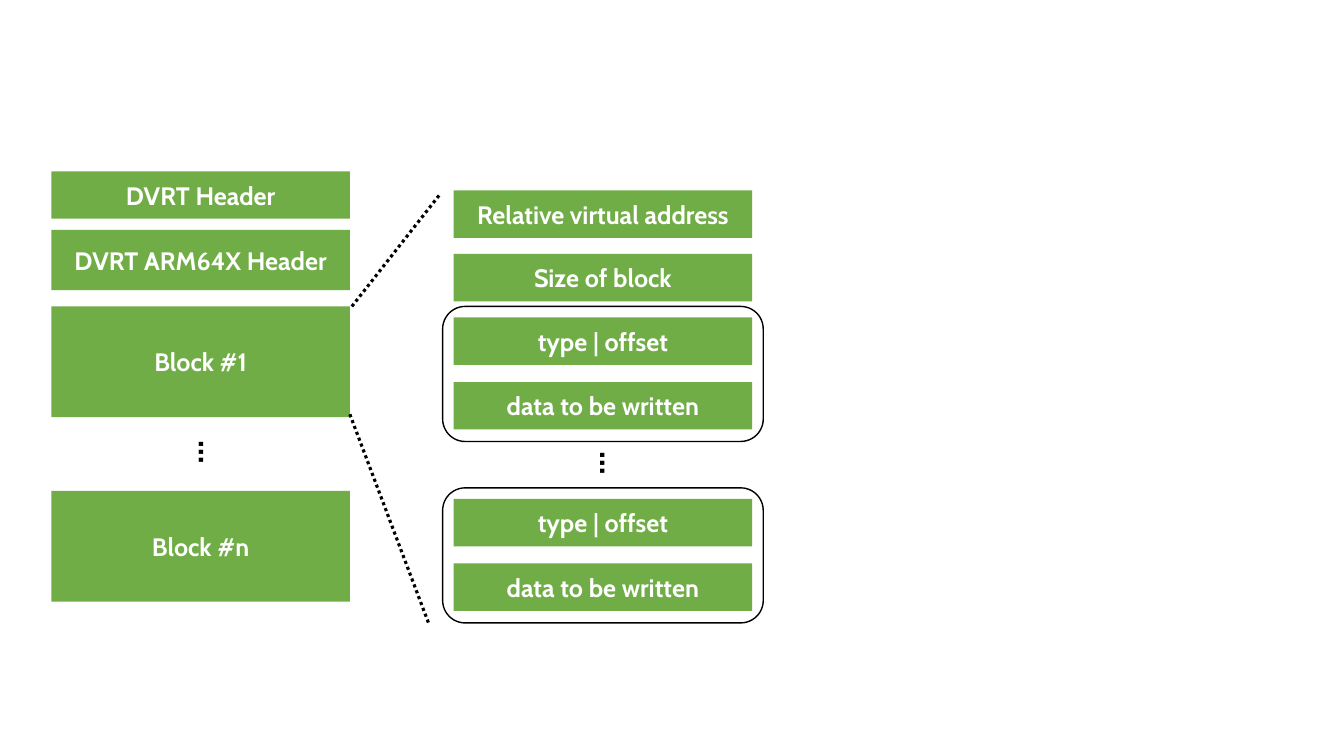
from pptx import Presentation
from pptx.dml.color import RGBColor
from pptx.enum.dml import MSO_LINE
from pptx.enum.shapes import MSO_CONNECTOR, MSO_SHAPE
from pptx.enum.text import MSO_ANCHOR, MSO_AUTO_SIZE, PP_ALIGN
from pptx.oxml.ns import qn
from pptx.util import Emu, Pt
from lxml.etree import SubElement

PX = 9144  # EMU per px, 100 px to the inch
GREEN, WHITE, BLACK = "70AD47", "FFFFFF", "000000"
LABEL = {"name": "Cabin", "size": Pt(18), "bold": True}
DOTS = {**LABEL, "size": Pt(24)}
CELL_W, ROW_H, ROW_STEP = 296, 47, 63


def px(*lengths):
    return [Emu(length * PX) for length in lengths]


def paint(color_format, hex_color):
    color_format.rgb = RGBColor.from_string(hex_color)


def write(frame, text, font_format, hex_color, align):
    paragraph = frame.paragraphs[0]
    paragraph.alignment = align
    run = paragraph.add_run()
    run.text = text
    for key, value in font_format.items():
        setattr(run.font, key, value)
    paint(run.font.color, hex_color)


def add_cell(slide, text, left, top, height=ROW_H):
    cell = slide.shapes.add_shape(
        MSO_SHAPE.RECTANGLE, *px(left, top, CELL_W, height))
    cell.shadow.inherit = False
    cell.fill.solid()
    paint(cell.fill.fore_color, GREEN)
    cell.line.fill.background()
    cell.text_frame.vertical_anchor = MSO_ANCHOR.MIDDLE
    write(cell.text_frame, text, LABEL, WHITE, PP_ALIGN.CENTER)


def add_dots(slide, left, top):
    dots = slide.shapes.add_textbox(*px(left, top, 51, 50))
    dots.rotation = 90
    dots.text_frame.word_wrap = False
    dots.text_frame.auto_size = MSO_AUTO_SIZE.SHAPE_TO_FIT_TEXT
    write(dots.text_frame, "…", DOTS, BLACK, PP_ALIGN.LEFT)


def add_dotted_line(slide, start, end):
    dotted = slide.shapes.add_connector(
        MSO_CONNECTOR.STRAIGHT, *px(*start, *end))
    paint(dotted.line.color, BLACK)
    dotted.line.width = Pt(2.25)
    dotted.line.dash_style = MSO_LINE.ROUND_DOT  # written as sysDot
    SubElement(dotted._element.spPr, qn("a:effectLst"))


def add_table_layout(slide, left, top):
    """Left column: the headers followed by the blocks."""
    rows = [("DVRT Header", 0, 47), ("DVRT ARM64X Header", 58, 60),
            ("Block #1", 134, 110), ("Block #n", 317, 110)]
    for text, offset, height in rows:
        add_cell(slide, text, left, top + offset, height)
    add_dots(slide, left + 134, top + 258)


def add_entry(slide, left, top):
    """One fixup entry: two cells inside a rounded frame."""
    for row, text in enumerate(["type | offset", "data to be written"]):
        add_cell(slide, text, left, top + row * (ROW_STEP + 1))
    frame = slide.shapes.add_shape(
        MSO_SHAPE.ROUNDED_RECTANGLE, *px(left - 11, top - 11, 318, 134))
    frame.shadow.inherit = False
    frame.fill.background()
    paint(frame.line.color, BLACK)
    frame.line.width = Pt(1)


def add_block_layout(slide, left, top):
    """Right column: the contents of one block."""
    for row, text in enumerate(["Relative virtual address", "Size of block"]):
        add_cell(slide, text, left, top + row * ROW_STEP)
    add_entry(slide, left, top + 2 * ROW_STEP)
    add_dots(slide, left + 133, top + 250)
    add_entry(slide, left, top + 306)


def main():
    prs = Presentation()
    prs.slide_width, prs.slide_height = px(1333, 750)
    slide = prs.slides.add_slide(prs.slide_layouts[6])

    add_table_layout(slide, 51, 170)
    # Zoom lines from Block #1 to its contents
    add_dotted_line(slide, (349, 304), (437, 192))
    add_dotted_line(slide, (347, 411), (425, 618))
    add_block_layout(slide, 450, 189)

    prs.save("out.pptx")


if __name__ == "__main__":
    main()
